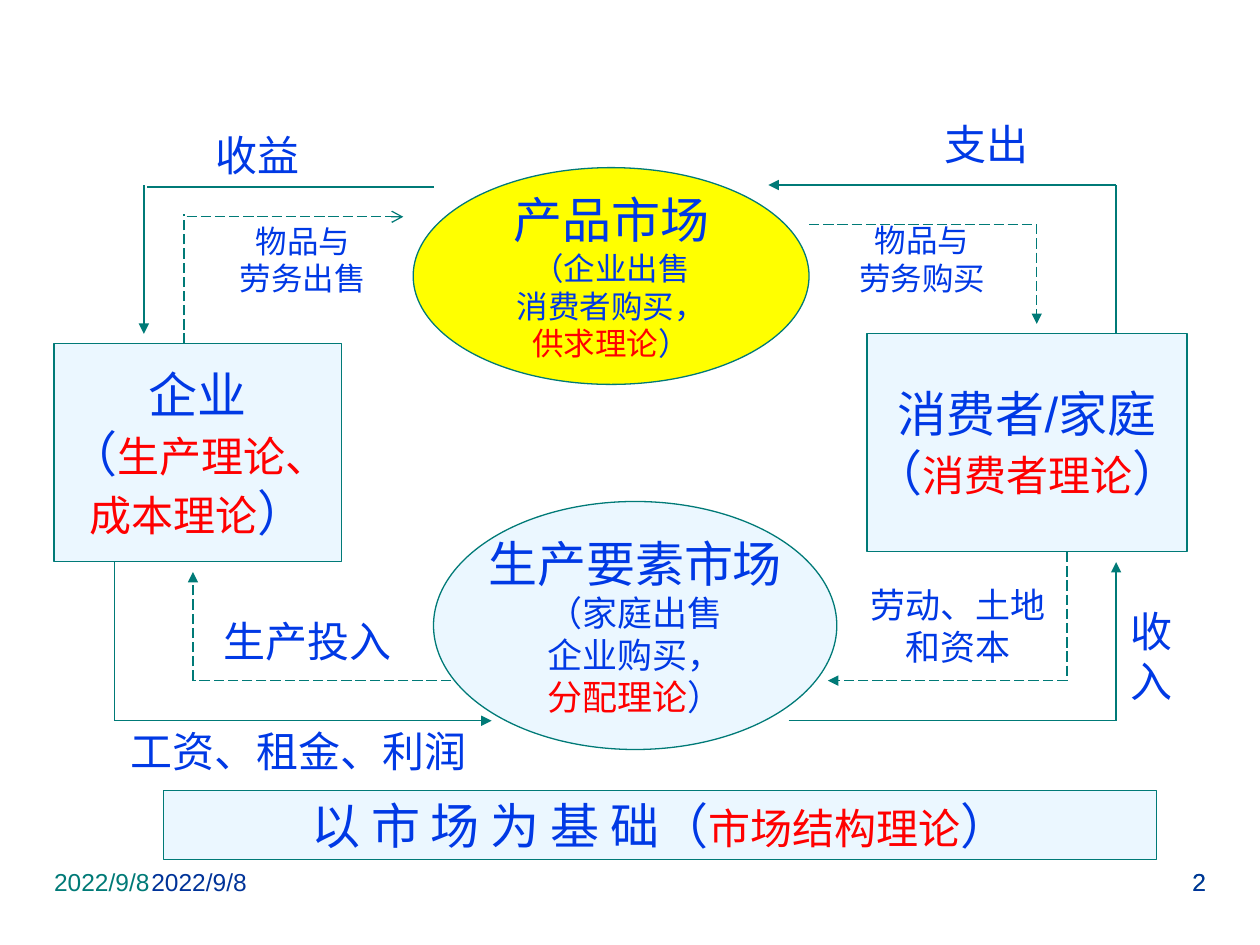
import pptx
import pptx.util
import pptx.dml.color
import pptx.enum.dml
import pptx.enum.shapes
import pptx.enum.text
from lxml import etree
from pptx.oxml.ns import qn

Cm = pptx.util.Cm
Pt = pptx.util.Pt
RGBColor = pptx.dml.color.RGBColor
MSO_SHAPE = pptx.enum.shapes.MSO_SHAPE
PP_ALIGN = pptx.enum.text.PP_ALIGN
MSO_ANCHOR = pptx.enum.text.MSO_ANCHOR

TEAL = RGBColor(0x00, 0x7A, 0x77)
BLUE = RGBColor(0x00, 0x39, 0xE5)
NAVY = RGBColor(0x00, 0x33, 0x99)
RED = RGBColor(0xFF, 0x00, 0x00)
PALE = RGBColor(0xEB, 0xF7, 0xFF)
YELLOW = RGBColor(0xFF, 0xFF, 0x00)


def write(tf, paras, align=PP_ALIGN.CENTER, anchor=MSO_ANCHOR.MIDDLE, wrap=False):
    tf.word_wrap = wrap
    tf.vertical_anchor = anchor
    for i, runs in enumerate(paras):
        p = tf.add_paragraph() if i else tf.paragraphs[0]
        p.alignment = align
        for text, size, color in runs:
            r = p.add_run()
            r.text = text
            r.font.name = "Arial"
            r.font.size = Pt(size)
            r.font.color.rgb = color


def draw_node(s, kind, box, fill, paras):
    sp = s.shapes.add_shape(kind, *map(Cm, box))
    sp.shadow.inherit = False
    sp.fill.solid()
    sp.fill.fore_color.rgb = fill
    sp.line.color.rgb = TEAL
    sp.line.width = Pt(0.75)
    write(sp.text_frame, paras)


def draw_line(s, start, end, dashed, head):
    line = s.shapes.add_connector(
        pptx.enum.shapes.MSO_CONNECTOR.STRAIGHT, *map(Cm, start + end))
    line.line.color.rgb = TEAL
    line.line.width = Pt(0.75)
    if dashed:
        line.line.dash_style = pptx.enum.dml.MSO_LINE.LONG_DASH
    props = line._element.spPr
    if head:
        etree.SubElement(props.find(qn("a:ln")), qn("a:tailEnd"), type=head)
    etree.SubElement(props, qn("a:effectLst"))


def draw_label(s, box, size, lines):
    sp = s.shapes.add_textbox(*map(Cm, box))
    tf = sp.text_frame
    tf.margin_left = tf.margin_right = tf.margin_top = tf.margin_bottom = 0
    write(tf, [[(text, size, BLUE)] for text in lines])


def draw_flow(s, origin, routes, labels):
    left, top = origin
    for points, dashed, head in routes:
        points = [(left + x, top + y) for x, y in points]
        last = len(points) - 2
        for i, (start, end) in enumerate(zip(points, points[1:])):
            draw_line(s, start, end, dashed, head if i == last else None)
    for (x, y, width, height), size, lines in labels:
        draw_label(s, (left + x, top + y, width, height), size, lines)


def draw_market(s, box, fill, title, size, lines, theory):
    paras = [[(title, 28, BLUE)]]
    paras += [[(text, size, BLUE)] for text in lines]
    paras.append([(theory, size, RED), ("）", size, BLUE)])
    draw_node(s, MSO_SHAPE.OVAL, box, fill, paras)


def draw_actor(s, box, title, theories):
    paras = [[(title, 28, BLUE)]] + [[(text, 24, RED)] for text in theories]
    paras[1].insert(0, ("（", 28, BLUE))
    paras[-1].append(("）", 28, BLUE))
    draw_node(s, MSO_SHAPE.RECTANGLE, box, PALE, paras)


def draw_foundation(s, box):
    draw_node(s, MSO_SHAPE.RECTANGLE, box, PALE, [[
        ("以 市 场 为 基 础（", 28, BLUE),
        ("市场结构理论", 24, RED),
        ("）", 28, BLUE)]])


def draw_footer(s, box):
    left, top, width, height = box
    field = 6.35
    right = left + width - field
    for x, text, color, align in [
            (left, "2022/9/8", TEAL, PP_ALIGN.LEFT),
            (right, "2", TEAL, PP_ALIGN.RIGHT),
            (left, "2022/9/8", NAVY, PP_ALIGN.CENTER),
            (right, "2", NAVY, PP_ALIGN.RIGHT)]:
        sp = s.shapes.add_textbox(Cm(x), Cm(top), Cm(field), Cm(height))
        write(sp.text_frame, [[(text, 14, color)]], align, MSO_ANCHOR.TOP, True)


def main():
    prs = pptx.Presentation()
    prs.slide_width, prs.slide_height = Cm(25.4), Cm(19.05)
    s = prs.slides.add_slide(prs.slide_layouts[6])

    draw_footer(s, (0.84, 17.35, 23.72, 1.32))
    draw_market(s, (8.74, 10.11, 8.13, 5), PALE, "生产要素市场", 20,
                ["（家庭出售", "企业购买，"], "分配理论")
    draw_market(s, (8.33, 3.38, 7.98, 4.37), YELLOW, "产品市场", 18,
                ["（企业出售", "消费者购买，"], "供求理论")
    draw_actor(s, (1.09, 6.93, 5.79, 4.39), "企业", ["生产理论、", "成本理论"])
    draw_actor(s, (17.48, 6.73, 6.45, 4.39), "消费者/家庭", ["消费者理论"])

    draw_flow(s, (15.49, 2.31), [
        ([(7.01, 4.42), (7.01, 1.42), (0, 1.42)], False, "triangle"),
        ([(0.82, 2.21), (5.41, 2.21), (5.41, 4.22)], True, "triangle"),
    ], [
        ((3, 0, 2.79, 1.19), 24, ["支出"]),
        ((1.4, 2.41, 3.4, 0.99), 18, ["物品与", "劳务购买"]),
    ])
    draw_flow(s, (15.9, 11.13), [
        ([(0, 3.4), (6.6, 3.4), (6.6, 0.2)], False, "triangle"),
        ([(5.61, 0), (5.61, 2.59), (0.79, 2.59)], True, "triangle"),
    ], [
        ((6.81, 1.19, 0.99, 1.8), 24, ["收", "入"]),
        ((1.41, 0.99, 4, 0.99), 20, ["劳动、土地", "和资本"]),
    ])
    draw_flow(s, (2.31, 11.33), [
        ([(0, 0), (0, 3.2), (7.6, 3.2)], False, "triangle"),
        ([(6.78, 2.39), (1.58, 2.39), (1.58, 0.2)], True, "triangle"),
    ], [
        ((0, 3.4, 7.4, 0.79), 24, ["工资、租金、利润"]),
        ((1.89, 1.19, 4, 0.81), 24, ["生产投入"]),
    ])
    draw_flow(s, (2.9, 2.72), [
        ([(5.84, 1.05), (0.07, 1.05)], False, None),
        ([(0, 1.01), (0, 4.01)], False, "triangle"),
        ([(0.81, 4.21), (0.81, 1.6)], True, None),
        ([(0.86, 1.65), (5.23, 1.65)], True, "arrow"),
    ], [
        ((1.19, 0, 2.21, 0.81), 24, ["收益"]),
        ((1.39, 1.8, 3.63, 1.42), 18, ["物品与", "劳务出售"]),
    ])
    draw_foundation(s, (3.3, 15.93, 20.02, 1.4))
    prs.save("out.pptx")


if __name__ == "__main__":
    main()
